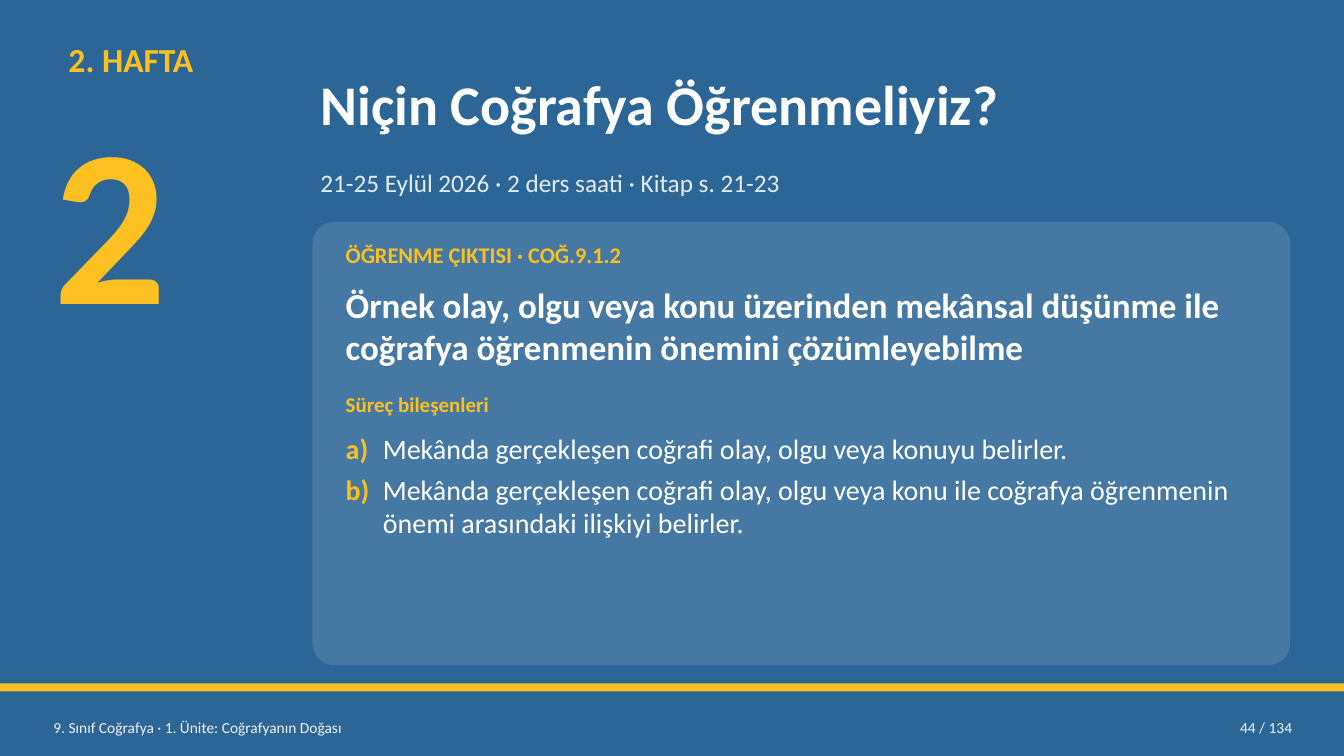
import pptx
import pptx.util
import pptx.dml.color
import pptx.enum.shapes
import pptx.enum.text
import pptx.oxml.ns
import lxml.etree

Pt = pptx.util.Pt
SHAPES = pptx.enum.shapes.MSO_SHAPE
ALIGN = pptx.enum.text.PP_ALIGN
ANCHOR = pptx.enum.text.MSO_ANCHOR

COLORS = {
    "blue": "2C6696",
    "gold": "FCC021",
    "white": "FFFFFF",
    "pale": "E3ECF5",
    "gray": "F0F0F0",
}
STEPS = [
    ("a)", "Mekânda gerçekleşen coğrafi olay, olgu veya konuyu belirler."),
    ("b)", "Mekânda gerçekleşen coğrafi olay, olgu veya konu ile coğrafya "
           "öğrenmenin önemi arasındaki ilişkiyi belirler."),
]
HANG = Pt(26.5)


def apply(target, values):
    for key, value in values.items():
        setattr(target, key, value)


def paint(fill, color):
    fill.solid()
    fill.fore_color.rgb = pptx.dml.color.RGBColor.from_string(COLORS[color])


def place(shape, box):
    apply(shape, dict(zip(("left", "top", "width", "height"), map(Pt, box))))


def write(para, text, size, color, bold=False):
    run = para.add_run()
    run.text = text
    apply(run.font, {"name": "Calibri", "size": Pt(size), "bold": bold})
    paint(run.font.fill, color)


def setup(shape, anchor=ANCHOR.TOP, inset=2.88):
    frame = shape.text_frame
    apply(frame, {
        "word_wrap": True,
        "auto_size": pptx.enum.text.MSO_AUTO_SIZE.NONE,
        "vertical_anchor": anchor,
        "margin_left": Pt(5.76),
        "margin_right": Pt(5.76),
        "margin_top": Pt(inset),
        "margin_bottom": Pt(inset),
    })
    return frame


def label(slide, box, text, size, color, bold=False, align=ALIGN.LEFT, **frame):
    shape = slide.shapes.add_textbox(*map(Pt, box))
    para = setup(shape, **frame).paragraphs[0]
    para.alignment = align
    write(para, text, size, color, bold)


def title(slide, box, text):
    shape = slide.shapes.title
    place(shape, box)
    para = setup(shape, ANCHOR.MIDDLE).paragraphs[0]
    para.alignment = ALIGN.LEFT
    write(para, text, 40, "white", True)


def panel(slide, kind, box, color, alpha=None):
    shape = slide.shapes.add_shape(kind, *map(Pt, box))
    shape.shadow.inherit = False
    shape.line.fill.background()
    paint(shape.fill, color)
    if alpha:
        tint = shape.fill._xPr.find(".//" + pptx.oxml.ns.qn("a:srgbClr"))
        node = lxml.etree.SubElement(tint, pptx.oxml.ns.qn("a:alpha"))
        node.set("val", str(alpha * 1000))
    return shape


def steps(slide, box, items):
    frame = setup(slide.shapes.add_textbox(*map(Pt, box)))
    for index, (mark, text) in enumerate(items):
        para = frame.add_paragraph() if index else frame.paragraphs[0]
        props = para._p.get_or_add_pPr()
        props.set("marL", str(HANG))
        props.set("indent", str(-HANG))
        para.space_after = Pt(5 if index < len(items) - 1 else 0)
        write(para, mark + "\t", 20, "gold", True)
        write(para, text, 20, "white")


def main():
    deck = pptx.Presentation()
    apply(deck, {"slide_width": Pt(960), "slide_height": Pt(540)})
    slide = deck.slides.add_slide(deck.slide_layouts[5])
    paint(slide.background.fill, "blue")

    panel(slide, SHAPES.RECTANGLE, (0, 488.16, 960, 5.76), "gold")
    label(slide, (43.2, 25.2, 187.2, 39.6), "2. HAFTA", 24, "gold", True)
    label(slide, (32.4, 57.6, 187.2, 198), "2", 160, "gold", True, inset=0)
    title(slide, (223.2, 32.4, 698.4, 82.8), "Niçin Coğrafya Öğrenmeliyiz?")
    label(slide, (223.2, 116.64, 698.4, 32.4),
          "21-25 Eylül 2026 · 2 ders saati · Kitap s. 21-23", 18, "pale")

    card = panel(slide, SHAPES.ROUNDED_RECTANGLE,
                 (223.2, 158.4, 698.4, 316.8), "white", 12)
    card.adjustments[0] = 0.05
    left, width = 241.2, 662.4
    label(slide, (left, 169.2, width, 28.8),
          "ÖĞRENME ÇIKTISI · COĞ.9.1.2", 16, "gold", True)
    label(slide, (left, 199.44, width, 68.4),
          "Örnek olay, olgu veya konu üzerinden mekânsal düşünme ile "
          "coğrafya öğrenmenin önemini çözümleyebilme", 25, "white", True)
    label(slide, (left, 276.48, width, 27.36),
          "Süreç bileşenleri", 15, "gold", True)
    steps(slide, (left, 305.28, width, 160.56), STEPS)

    label(slide, (32.4, 506.88, 547.2, 25.92),
          "9. Sınıf Coğrafya · 1. Ünite: Coğrafyanın Doğası", 11, "gray",
          anchor=ANCHOR.MIDDLE)
    label(slide, (813.6, 506.88, 115.2, 25.92), "44 / 134", 11, "gray",
          align=ALIGN.RIGHT, anchor=ANCHOR.MIDDLE)
    deck.save("out.pptx")


if __name__ == "__main__":
    main()
